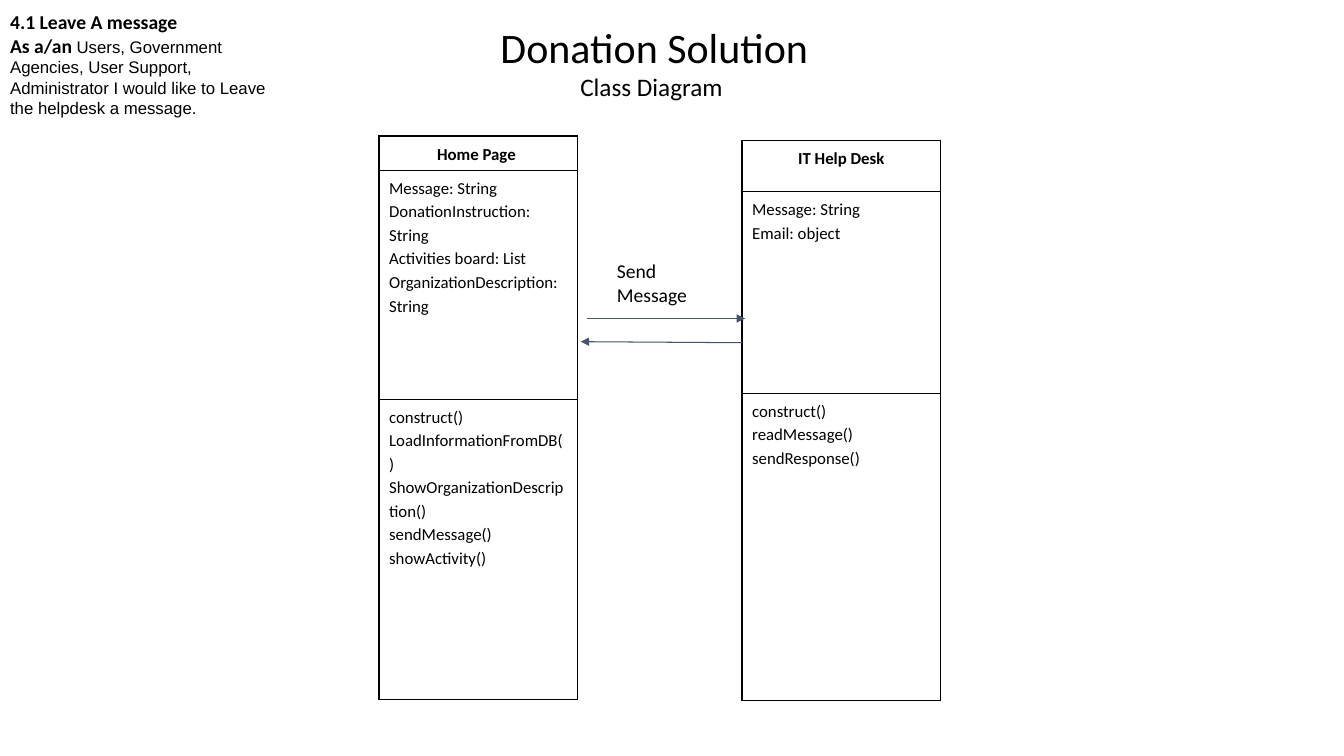
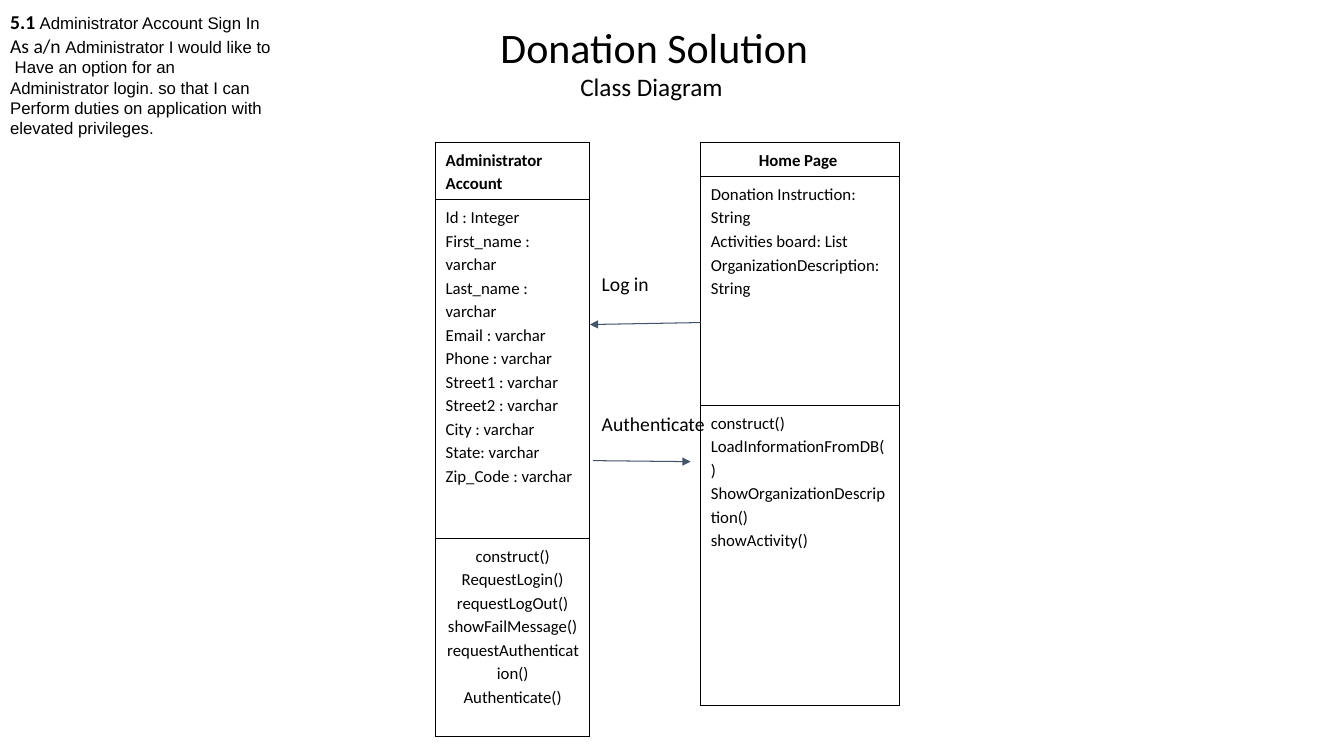
from lxml import etree
from pptx import Presentation
from pptx.dml.color import RGBColor
from pptx.enum.shapes import MSO_CONNECTOR
from pptx.enum.text import MSO_ANCHOR, MSO_AUTO_SIZE, PP_ALIGN
from pptx.oxml.ns import qn
from pptx.util import Inches, Pt

BLACK = RGBColor(0x00, 0x00, 0x00)
ARROW_BLUE = RGBColor(0x44, 0x54, 0x6A)
LEFT, CENTER = PP_ALIGN.LEFT, PP_ALIGN.CENTER
TOP = MSO_ANCHOR.TOP
NO_AUTOFIT = MSO_AUTO_SIZE.NONE
STRAIGHT = MSO_CONNECTOR.STRAIGHT

HEADING = {"name": "Calibri", "size": Pt(30), "bold": False}
SUBHEADING = {"name": "Calibri", "size": Pt(18), "bold": False}
LABEL = {"name": "Calibri", "size": Pt(14), "bold": False}
STRONG = LABEL | {"bold": True}
STORY = {"name": "Arial", "size": Pt(12), "bold": False}
MEMBER = {"name": "Calibri", "size": Pt(12), "bold": False}
CLASS_NAME = MEMBER | {"bold": True}

HOME_ROWS = (0.34, 2.27, 2.98)
HOME_FIELDS = ["Activities board: List", "OrganizationDescription: String"]
HOME_LOADERS = ["construct()", "LoadInformationFromDB()", "ShowOrganizationDescription()"]


class DiagramDeck:
    def __init__(self):
        self.deck = Presentation()
        self.deck.slide_width, self.deck.slide_height = Inches(13.33), Inches(7.5)
        self.page = None

    def new_page(self, story):
        """Start a slide with the shared title and a user story in the corner."""
        self.page = self.deck.slides.add_slide(self.deck.slide_layouts[1])
        title, body = self.page.placeholders
        self.place(title, 4.1, 0.11, 4.78, 0.45)
        self.fill_text(title.text_frame, [[("Donation Solution", HEADING)],
                                          [("Class Diagram ", SUBHEADING)]], CENTER)
        self.place(body, 0, 0, 2.83, 1.35)
        self.fill_text(body.text_frame, story)
        for para in body.text_frame.paragraphs:
            properties = para._p.get_or_add_pPr()
            properties.set("marL", "0")
            properties.set("indent", "0")
            etree.SubElement(properties, qn("a:buNone"))

    def place(self, box, *bounds):
        for name, value in zip(("left", "top", "width", "height"), bounds):
            setattr(box, name, Inches(value))
        self.set_frame(box.text_frame)

    def set_frame(self, frame):
        frame.word_wrap = True
        frame.auto_size = NO_AUTOFIT
        frame.vertical_anchor = TOP
        for side in ("left", "top", "right", "bottom"):
            setattr(frame, f"margin_{side}", Inches(0.1))

    def fill_text(self, frame, paragraphs, align=LEFT, spacing=1.0):
        """Fill a frame with paragraphs, each a list of (text, format) spans."""
        for index, spans in enumerate(paragraphs):
            para = frame.add_paragraph() if index else frame.paragraphs[0]
            para.alignment = align
            para.line_spacing = spacing
            para.space_before = para.space_after = Pt(0)
            for text, style in spans:
                span = para.add_run()
                span.text = text
                span.font.color.rgb = BLACK
                for name, value in style.items():
                    setattr(span.font, name, value)

    def label(self, text, left, top, width=1.06):
        box = self.page.shapes.add_textbox(
            Inches(left), Inches(top), Inches(width), Inches(0.43))
        self.set_frame(box.text_frame)
        self.fill_text(box.text_frame, [[(text, LABEL)]])

    def class_table(self, left, top, width, heights, name, fields, methods,
                    aligns=(CENTER, LEFT, LEFT)):
        """Draw a class as three stacked cells: name, fields and methods."""
        table = self.page.shapes.add_table(
            3, 1, Inches(left), Inches(top), Inches(width), Inches(sum(heights))).table
        table.first_row = table.horz_banding = False
        contents = ([name], fields, methods)
        styles = (CLASS_NAME, MEMBER, MEMBER)
        for row, height, lines, style, align in zip(
                table.rows, heights, contents, styles, aligns):
            row.height = Inches(height)
            cell = row.cells[0]
            cell.margin_left = cell.margin_right = Inches(0.1)
            cell.margin_top = cell.margin_bottom = Inches(0.05)
            cell.fill.background()
            self.add_borders(cell)
            self.fill_text(cell.text_frame, [[(line, style)] for line in lines], align, 1.15)

    def add_borders(self, cell):
        properties = cell._tc.get_or_add_tcPr()
        for index, side in enumerate("LRTB"):
            border = etree.Element(qn(f"a:ln{side}"), w=str(Pt(1)))
            fill = etree.SubElement(border, qn("a:solidFill"))
            etree.SubElement(fill, qn("a:srgbClr"), val=str(BLACK))
            properties.insert(index, border)

    def arrow(self, start, end):
        points = [Inches(value) for value in (*start, *end)]
        connector = self.page.shapes.add_connector(STRAIGHT, *points)
        connector.line.color.rgb = ARROW_BLUE
        connector.line.width = Pt(0.75)
        properties = connector._element.spPr
        etree.SubElement(properties.find(qn("a:ln")), qn("a:tailEnd"), type="triangle")
        etree.SubElement(properties, qn("a:effectLst"))


def add_message_page(diagram):
    diagram.new_page([
        [("4.1 Leave A message", STRONG)],
        [("As a/an ", STRONG),
         ("Users, Government Agencies, User Support, Administrator I would like to "
          "Leave the helpdesk a message.", STORY)],
    ])
    diagram.class_table(
        3.76, 1.35, 1.97, HOME_ROWS, "Home Page ",
        ["Message: String", "DonationInstruction: String", *HOME_FIELDS],
        [*HOME_LOADERS, "sendMessage()", "showActivity()"])
    diagram.class_table(
        7.36, 1.39, 1.97, (0.51, 2, 3.05), "IT Help Desk",
        ["Message: String", "Email: object"],
        ["construct()", "readMessage()", "sendResponse()"])
    diagram.label("Send Message", 6.02, 2.47)
    diagram.arrow((5.82, 3.16), (7.39, 3.16))
    diagram.arrow((7.36, 3.4), (5.76, 3.39))


def add_sign_in_page(diagram):
    diagram.new_page([
        [("5.1 ", STRONG), ("Administrator Account Sign In", STORY)],
        [("As a/n ", LABEL), ("Administrator I would like to", STORY)],
        [(" Have an option for an Administrator login. so that I can "
          "Perform duties on application with elevated privileges.", STORY)],
    ])
    diagram.class_table(
        6.95, 1.41, 1.97, HOME_ROWS, "Home Page ",
        ["Donation Instruction: String", *HOME_FIELDS],
        [*HOME_LOADERS, "showActivity()"])
    diagram.class_table(
        4.32, 1.41, 1.53, (0.57, 3.36, 1.97), "Administrator Account",
        ["Id : Integer", "First_name : varchar", "Last_name : varchar",
         "Email : varchar", "Phone : varchar", "Street1 : varchar",
         "Street2 : varchar", "City : varchar", "State: varchar",
         "Zip_Code : varchar"],
        ["construct()", "RequestLogin()", "requestLogOut()", "showFailMessage()",
         "requestAuthentication()", "Authenticate()"],
        aligns=(LEFT, LEFT, CENTER))
    diagram.label("Log in", 5.87, 2.6)
    diagram.arrow((6.95, 3.2), (5.85, 3.22))
    diagram.label("Authenticate", 5.87, 3.99, 1.47)
    diagram.arrow((5.88, 4.57), (6.85, 4.58))


def main():
    diagram = DiagramDeck()
    add_message_page(diagram)
    add_sign_in_page(diagram)
    diagram.deck.save("out.pptx")


if __name__ == "__main__":
    main()
